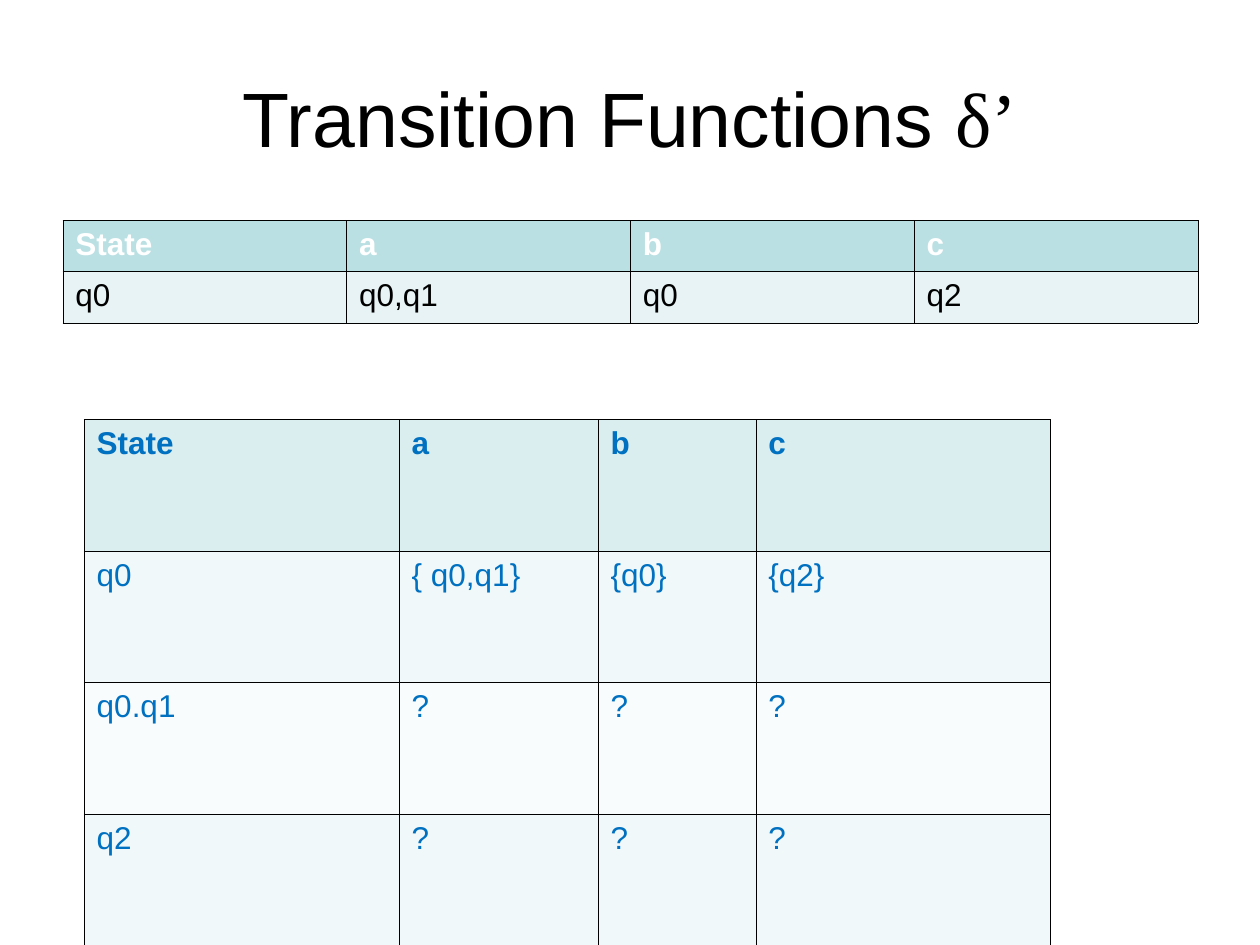
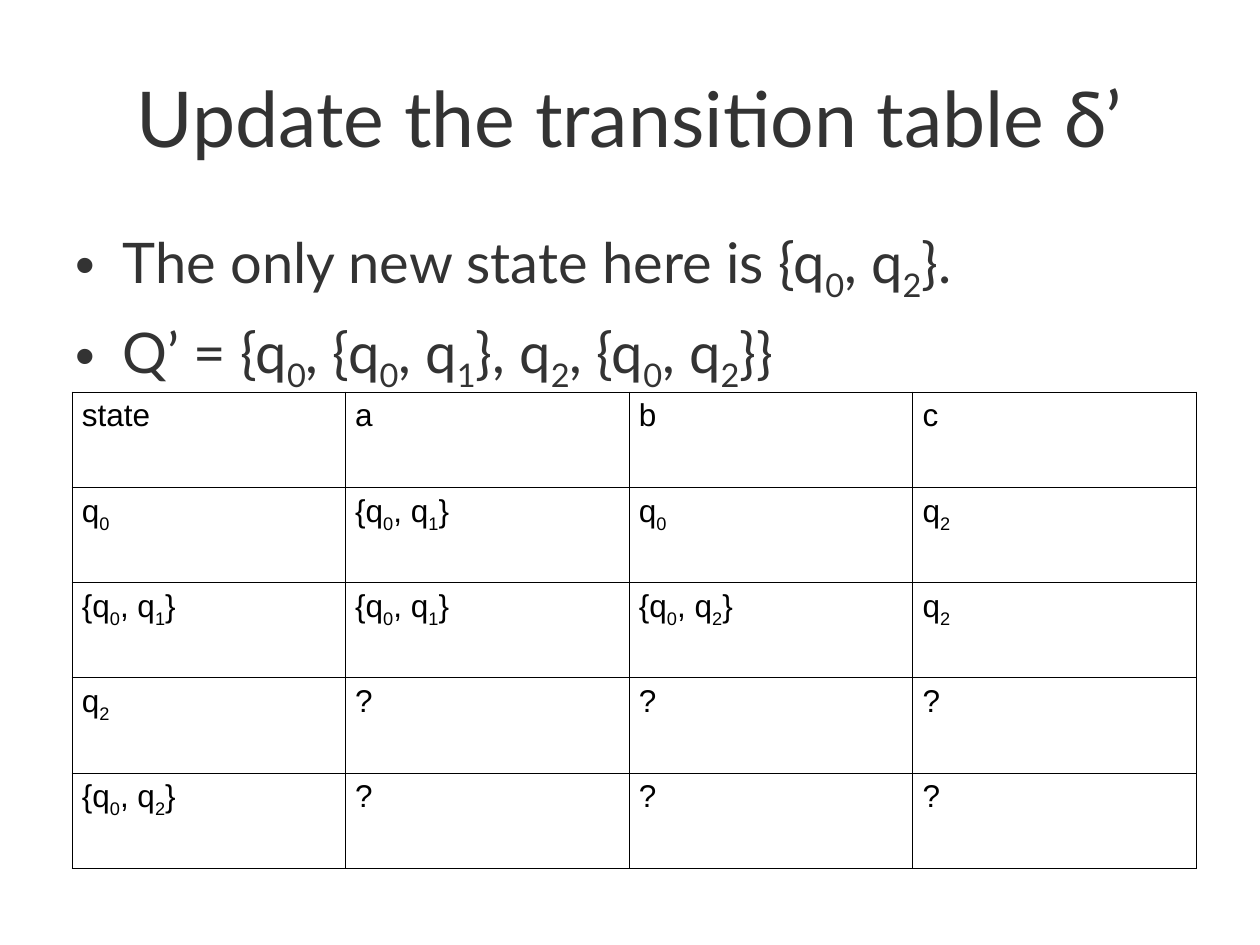
import dataclasses
from typing import Any

import lxml.etree
import pptx
import pptx.dml.color
import pptx.enum.text
import pptx.oxml.ns
import pptx.util
from pptx.util import Cm, Pt

BLACK, WHITE, CHARCOAL, BLUE = "000000", "FFFFFF", "333333", "0070C0"
TITLE_AREA = (1.27, 0.76, 22.86, 3.18)
BODY_AREA = (1.27, 4.45, 22.86, 12.57)
TITLE_ONLY, TITLE_AND_BODY = 5, 1
SUBSCRIPT_MARK = "_"


@dataclasses.dataclass(frozen=True)
class TextStyle:
    font: str
    size: float
    color: str
    bold: bool = False


@dataclasses.dataclass(frozen=True)
class TransitionTable:
    """Lengths are centimetres; body fills alternate from row to row."""
    left: float
    top: float
    column_widths: tuple[float, ...]
    row_height: float
    rows: tuple[tuple[str, ...], ...]
    header_style: TextStyle
    body_style: TextStyle
    header_fill: str
    body_fills: tuple[str, ...]
    side_margin: float = 0.25


TITLE = TextStyle("Arial", 44, BLACK)
GREEK_TITLE = TextStyle("Times New Roman", 44, BLACK)
LATO_TITLE = TextStyle("Lato", 44, CHARCOAL)
LATO_BODY = TextStyle("Lato", 32, CHARCOAL)
CELL = TextStyle("Arial", 18, BLACK)
BLUE_CELL = dataclasses.replace(CELL, color=BLUE)

NFA_ROW = TransitionTable(
    left=1.27, top=4.45, column_widths=(5.72,) * 4, row_height=1.03,
    rows=(("State", "a", "b", "c"),
          ("q0", "q0,q1", "q0", "q2")),
    header_style=dataclasses.replace(CELL, color=WHITE, bold=True),
    body_style=CELL, header_fill="BBE0E3", body_fills=("E7F3F4",))

OPEN_STATES = TransitionTable(
    left=1.7, top=8.46, column_widths=(6.35, 4.01, 3.18, 5.94), row_height=2.65,
    rows=(("State", "a", "b", "c"),
          ("q0", "{ q0,q1}", "{q0}", "{q2}"),
          ("q0.q1", "?", "?", "?"),
          ("q2", "?", "?", "?")),
    header_style=dataclasses.replace(BLUE_CELL, bold=True),
    body_style=BLUE_CELL, header_fill="DAEDEF", body_fills=("F1F8F9", "F8FCFC"))

UPDATED_STATES = TransitionTable(
    left=1.45, top=7.9, column_widths=(5.51, 5.72, 5.72, 5.72), row_height=1.92,
    rows=(("state", "a", "b", "c"),
          ("q_0", "{q_0, q_1}", "q_0", "q_2"),
          ("{q_0, q_1}", "{q_0, q_1}", "{q_0, q_2}", "q_2"),
          ("q_2", "?", "?", "?"),
          ("{q_0, q_2}", "?", "?", "?")),
    header_style=CELL, body_style=CELL, header_fill=WHITE, body_fills=(WHITE,),
    side_margin=0.2)


def rgb(color: str) -> pptx.dml.color.RGBColor:
    return pptx.dml.color.RGBColor.from_string(color)


def add_run(paragraph: Any, text: str, style: TextStyle, subscript: bool = False) -> None:
    run = paragraph.add_run()
    run.text = text
    run.font.name = style.font
    run.font.size = Pt(style.size)
    run.font.bold = style.bold
    run.font.color.rgb = rgb(style.color)
    if subscript:
        run.font._element.set("baseline", "-25000")


def write_marked(paragraph: Any, text: str, style: TextStyle) -> None:
    """Write text in which the character after each mark is a subscript."""
    first, *others = text.split(SUBSCRIPT_MARK)
    add_run(paragraph, first, style)
    for piece in others:
        add_run(paragraph, piece[0], style, subscript=True)
        if piece[1:]:
            add_run(paragraph, piece[1:], style)


def place(shape: Any, area: tuple[float, float, float, float]) -> None:
    shape.left, shape.top, shape.width, shape.height = map(Cm, area)
    shape.text_frame.auto_size = pptx.enum.text.MSO_AUTO_SIZE.NONE


def add_slide(presentation: Any, layout: int, *title: tuple[str, TextStyle]) -> Any:
    slide = presentation.slides.add_slide(presentation.slide_layouts[layout])
    shape = slide.shapes.title
    place(shape, TITLE_AREA)
    shape.text_frame.vertical_anchor = pptx.enum.text.MSO_ANCHOR.MIDDLE
    paragraph = shape.text_frame.paragraphs[0]
    paragraph.alignment = pptx.enum.text.PP_ALIGN.CENTER
    for text, style in title:
        add_run(paragraph, text, style)
    return slide


def fill_body(slide: Any, lines: tuple[str, ...]) -> None:
    body = slide.placeholders[1]
    place(body, BODY_AREA)
    frame = body.text_frame
    frame.text = "\n".join("" for _ in lines)
    for paragraph, line in zip(frame.paragraphs, lines):
        paragraph.space_before = Pt(8)
        write_marked(paragraph, line, LATO_BODY)


def add_borders(cell: Any) -> None:
    properties = cell._tc.get_or_add_tcPr()
    qualified = pptx.oxml.ns.qn
    for side in ("lnL", "lnR", "lnT", "lnB"):
        line = lxml.etree.SubElement(properties, qualified(f"a:{side}"), w=str(Pt(0.45)))
        fill = lxml.etree.SubElement(line, qualified("a:solidFill"))
        lxml.etree.SubElement(fill, qualified("a:srgbClr"), val=BLACK)


def add_transition_table(slide: Any, design: TransitionTable) -> None:
    row_count, column_count = len(design.rows), len(design.column_widths)
    table = slide.shapes.add_table(
        row_count, column_count, Cm(design.left), Cm(design.top),
        Cm(sum(design.column_widths)), Cm(design.row_height * row_count)).table
    table.first_row = table.horz_banding = False
    for column, width in zip(table.columns, design.column_widths):
        column.width = Cm(width)
    for index, texts in enumerate(design.rows):
        table.rows[index].height = Cm(design.row_height)
        style, fill = design.header_style, design.header_fill
        if index > 0:
            style = design.body_style
            fill = design.body_fills[(index - 1) % len(design.body_fills)]
        for cell, text in zip(table.rows[index].cells, texts):
            cell.margin_left = cell.margin_right = Cm(design.side_margin)
            cell.margin_top = cell.margin_bottom = Cm(0.13)
            add_borders(cell)
            cell.fill.solid()
            cell.fill.fore_color.rgb = rgb(fill)
            write_marked(cell.text_frame.paragraphs[0], text, style)


def main() -> None:
    presentation = pptx.Presentation()
    presentation.slide_width, presentation.slide_height = Cm(25.4), Cm(19.05)

    functions_slide = add_slide(presentation, TITLE_ONLY,
                                ("Transition Functions ", TITLE), ("δ’", GREEK_TITLE))
    add_transition_table(functions_slide, NFA_ROW)
    add_transition_table(functions_slide, OPEN_STATES)

    update_slide = add_slide(presentation, TITLE_AND_BODY,
                             ("Update the transition table δ’", LATO_TITLE))
    fill_body(update_slide, ("The only new state here is {q_0, q_2}.",
                             "Q’ = {q_0, {q_0, q_1}, q_2, {q_0, q_2}}"))
    add_transition_table(update_slide, UPDATED_STATES)

    presentation.save("out.pptx")


if __name__ == "__main__":
    main()
